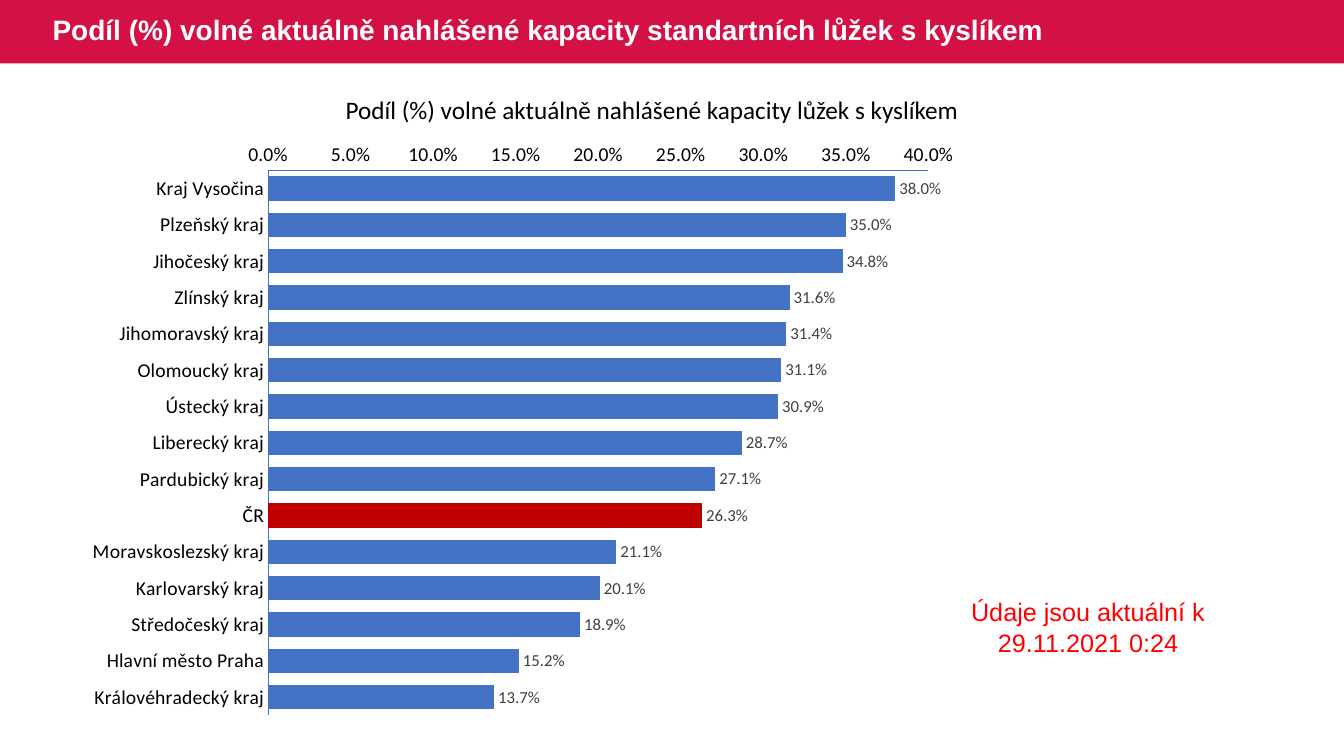
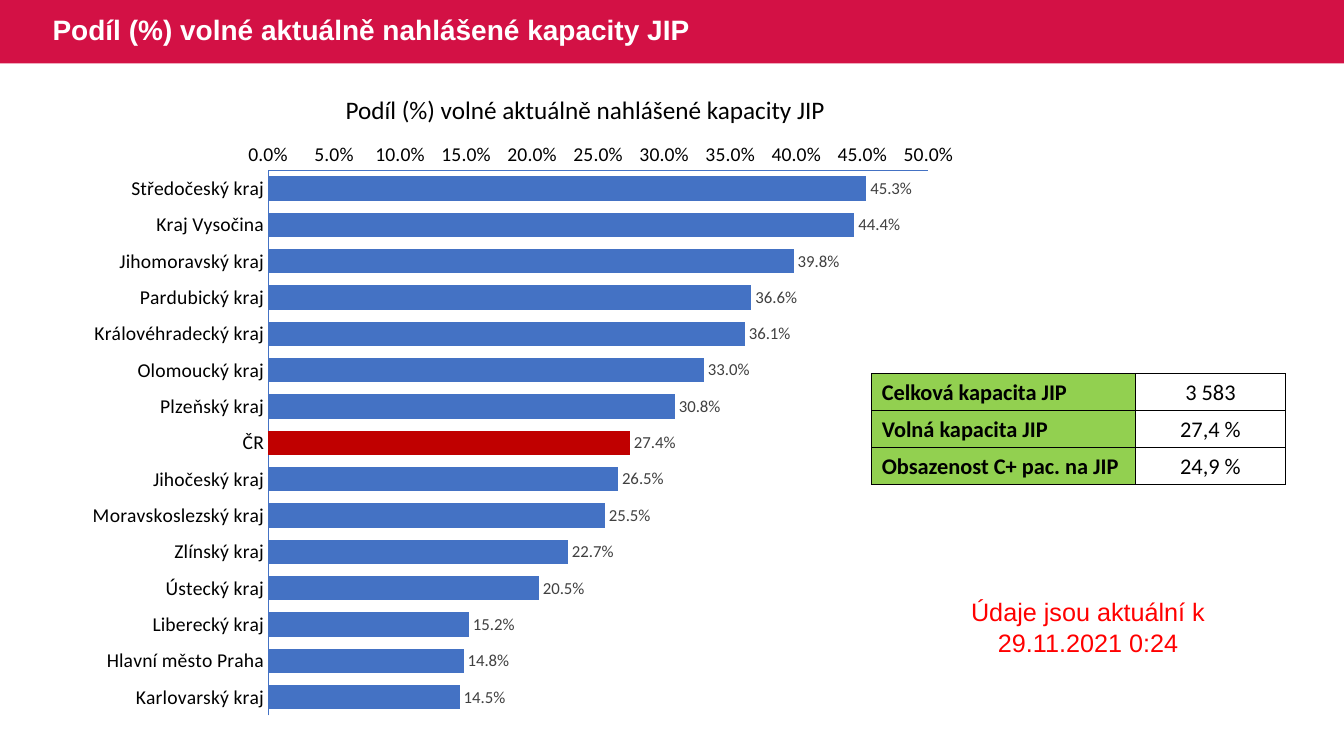
from dataclasses import dataclass

from lxml.etree import SubElement
from pptx import Presentation
from pptx.chart.data import CategoryChartData
from pptx.dml.color import RGBColor
from pptx.enum.chart import XL_CHART_TYPE, XL_LABEL_POSITION, XL_TICK_MARK
from pptx.enum.shapes import MSO_SHAPE
from pptx.enum.text import MSO_ANCHOR, MSO_AUTO_SIZE, PP_ALIGN
from pptx.oxml import parse_xml
from pptx.oxml.ns import nsdecls, qn
from pptx.util import Cm, Pt


@dataclass(frozen=True)
class Theme:
    """Colours, fonts and type sizes shared by all slides."""
    band: str = "D31145"
    white: str = "FFFFFF"
    black: str = "000000"
    bar: str = "4472C4"
    country: str = "C00000"
    value: str = "404040"
    note: str = "FF0000"
    table_label: str = "92D050"
    heading_font: str = "Arial"
    body_font: str = "Calibri"
    title_size: int = 20
    text_size: int = 18
    table_size: int = 16
    axis_size: int = 14
    value_size: int = 12
    line_width: float = 0.75


THEME = Theme()
COUNTRY = "ČR"
PERCENT = "0.0%"
UPDATED = "Údaje jsou aktuální k 29.11.2021 0:24"

OXYGEN_SHARES = {
    "Kraj Vysočina": 0.38, "Plzeňský kraj": 0.35, "Jihočeský kraj": 0.348,
    "Zlínský kraj": 0.316, "Jihomoravský kraj": 0.314, "Olomoucký kraj": 0.311,
    "Ústecký kraj": 0.309, "Liberecký kraj": 0.287, "Pardubický kraj": 0.271,
    COUNTRY: 0.263, "Moravskoslezský kraj": 0.211, "Karlovarský kraj": 0.201,
    "Středočeský kraj": 0.189, "Hlavní město Praha": 0.152,
    "Královéhradecký kraj": 0.137,
}
ICU_SHARES = {
    "Středočeský kraj": 0.453, "Kraj Vysočina": 0.444, "Jihomoravský kraj": 0.398,
    "Pardubický kraj": 0.366, "Královéhradecký kraj": 0.361, "Olomoucký kraj": 0.33,
    "Plzeňský kraj": 0.308, COUNTRY: 0.274, "Jihočeský kraj": 0.265,
    "Moravskoslezský kraj": 0.255, "Zlínský kraj": 0.227, "Ústecký kraj": 0.205,
    "Liberecký kraj": 0.152, "Hlavní město Praha": 0.148, "Karlovarský kraj": 0.145,
}
ICU_SUMMARY = [
    ("Celková kapacita JIP", "3 583"),
    ("Volná kapacita JIP", "27,4 %"),
    ("Obsazenost C+ pac. na JIP", "24,9 %"),
]


def style_font(font, size, color=THEME.black, name=THEME.body_font, bold=False):
    """Set the typeface, size, colour and weight of a font."""
    font.name, font.size, font.bold = name, Pt(size), bold
    font.color.rgb = RGBColor.from_string(color)


def write(frame, text, align=PP_ALIGN.LEFT, **font_format):
    """Put one formatted paragraph into a text frame."""
    para = frame.paragraphs[0]
    para.alignment = align
    span = para.add_run()
    span.text = text
    style_font(span.font, **font_format)
    return para


def paint(part, color):
    """Give a part a solid fill."""
    part.fill.solid()
    part.fill.fore_color.rgb = RGBColor.from_string(color)


def prepare_layout(deck, layout):
    """Place the title and the coloured band on the shared layout."""
    title = next(item for item in layout.placeholders if item.placeholder_format.idx == 0)
    title.left, title.top, title.width, title.height = Cm(1.07), 0, Cm(29.36), Cm(1.6)
    page = deck.slides.add_slide(layout)
    band = page.shapes.add_shape(MSO_SHAPE.RECTANGLE, 0, 0, deck.slide_width, Cm(1.6))
    band.shadow.inherit = False
    paint(band, THEME.band)
    band.line.fill.background()
    layout.shapes.element.insert(2, band.element)
    return page


def add_title(page, text):
    """Fill the title placeholder."""
    frame = page.shapes.title.text_frame
    frame.auto_size = MSO_AUTO_SIZE.NONE
    frame.vertical_anchor = MSO_ANCHOR.MIDDLE
    para = write(frame, text, size=THEME.title_size, color=THEME.white,
                 name=THEME.heading_font, bold=True)
    para.line_spacing = 0.9


def add_text(page, text, left, top, width, height, **text_format):
    """Add a wrapping text box."""
    box = page.shapes.add_textbox(Cm(left), Cm(top), Cm(width), Cm(height))
    box.text_frame.word_wrap = True
    write(box.text_frame, text, size=THEME.text_size, **text_format)


def fix_plot_area(chart, **fractions):
    """Set the inner plot area as fractions of the chart."""
    area = chart.element.find(".//" + qn("c:plotArea"))
    for layout in area.findall(qn("c:layout")):
        area.remove(layout)
    sizes = "".join(f'<c:{key} val="{value}"/>' for key, value in fractions.items())
    area.insert(0, parse_xml(
        f'<c:layout {nsdecls("c")}><c:manualLayout><c:layoutTarget val="inner"/>'
        f'<c:xMode val="edge"/><c:yMode val="edge"/>{sizes}</c:manualLayout></c:layout>'))


def style_axis(axis):
    """Format what both chart axes share."""
    axis.has_major_gridlines = False
    axis.major_tick_mark = axis.minor_tick_mark = XL_TICK_MARK.NONE
    axis.format.line.color.rgb = RGBColor.from_string(THEME.bar)
    axis.format.line.width = Pt(THEME.line_width)
    style_font(axis.tick_labels.font, THEME.axis_size)


def add_share_chart(page, shares, maximum):
    """Add the bar chart of shares by region, with the country highlighted."""
    data = CategoryChartData(number_format=PERCENT)
    data.categories = list(shares)
    data.add_series("Series 1", list(shares.values()))
    chart = page.shapes.add_chart(XL_CHART_TYPE.BAR_CLUSTERED, Cm(1.88), Cm(3.3),
                                  Cm(22.58), Cm(15.06), data).chart
    chart.has_title = chart.has_legend = False
    style_font(chart.font, 10)
    fix_plot_area(chart, x=0.216, y=0.066, w=0.737, h=0.912)

    for axis in (chart.category_axis, chart.value_axis):
        style_axis(axis)
    chart.category_axis.reverse_order = True
    scale = chart.value_axis
    scale.minimum_scale, scale.maximum_scale, scale.major_unit = 0, maximum, 0.05
    scale.tick_labels.number_format = PERCENT
    scale.tick_labels.number_format_is_linked = False

    plot = chart.plots[0]
    plot.gap_width = 50
    plot.vary_by_categories = False
    series = plot.series[0]
    paint(series.format, THEME.bar)
    paint(series.points[list(shares).index(COUNTRY)].format, THEME.country)

    labels = series.data_labels
    labels.show_value = True
    labels.position = XL_LABEL_POSITION.OUTSIDE_END
    labels.number_format = PERCENT
    labels.number_format_is_linked = False
    style_font(labels.font, THEME.value_size, THEME.value)


def outline_cell(cell):
    """Draw a thin black border on all sides of a cell."""
    properties = cell._tc.get_or_add_tcPr()
    for side in ("a:lnL", "a:lnR", "a:lnT", "a:lnB"):
        line = SubElement(properties, qn(side), w=str(Pt(THEME.line_width)))
        fill = SubElement(line, qn("a:solidFill"))
        SubElement(fill, qn("a:srgbClr"), val=THEME.black)


def add_summary_table(page, rows):
    """Add the two-column table of labels and figures."""
    widths, row_height = (Cm(6.65), Cm(3.77)), Cm(0.93)
    table = page.shapes.add_table(len(rows), len(widths), Cm(21.97), Cm(9.42),
                                  sum(widths), row_height * len(rows)).table
    table.first_row = table.horz_banding = False
    for column, width in zip(table.columns, widths):
        column.width = width
    for row, (label, figure) in zip(table.rows, rows):
        row.height = row_height
        label_cell, figure_cell = row.cells
        for cell in row.cells:
            outline_cell(cell)
        paint(label_cell, THEME.table_label)
        figure_cell.fill.background()
        figure_cell.vertical_anchor = MSO_ANCHOR.MIDDLE
        write(label_cell.text_frame, label, size=THEME.table_size, bold=True)
        write(figure_cell.text_frame, figure, align=PP_ALIGN.CENTER, size=THEME.table_size)


def fill_page(page, title, caption, shares, maximum):
    """Add the title, chart, caption and date note of one slide."""
    add_title(page, title)
    add_share_chart(page, shares, maximum)
    add_text(page, caption, 8.46, 2.26, 16.5, 1.02)
    add_text(page, UPDATED, 24.18, 14.91, 6.48, 1.8, align=PP_ALIGN.CENTER,
             color=THEME.note, name=THEME.heading_font)


def main():
    """Build and save the deck."""
    deck = Presentation()
    deck.slide_width, deck.slide_height = Cm(33.87), Cm(19.05)
    layout = deck.slide_layouts.get_by_name("Title Only")

    oxygen_page = prepare_layout(deck, layout)
    fill_page(oxygen_page,
              "Podíl (%) volné aktuálně nahlášené kapacity standartních lůžek s kyslíkem",
              "Podíl (%) volné aktuálně nahlášené kapacity lůžek s kyslíkem",
              OXYGEN_SHARES, 0.4)

    icu_page = deck.slides.add_slide(layout)
    icu_title = "Podíl (%) volné aktuálně nahlášené kapacity JIP"
    fill_page(icu_page, icu_title, icu_title, ICU_SHARES, 0.5)
    add_summary_table(icu_page, ICU_SUMMARY)

    deck.save("out.pptx")


if __name__ == "__main__":
    main()
